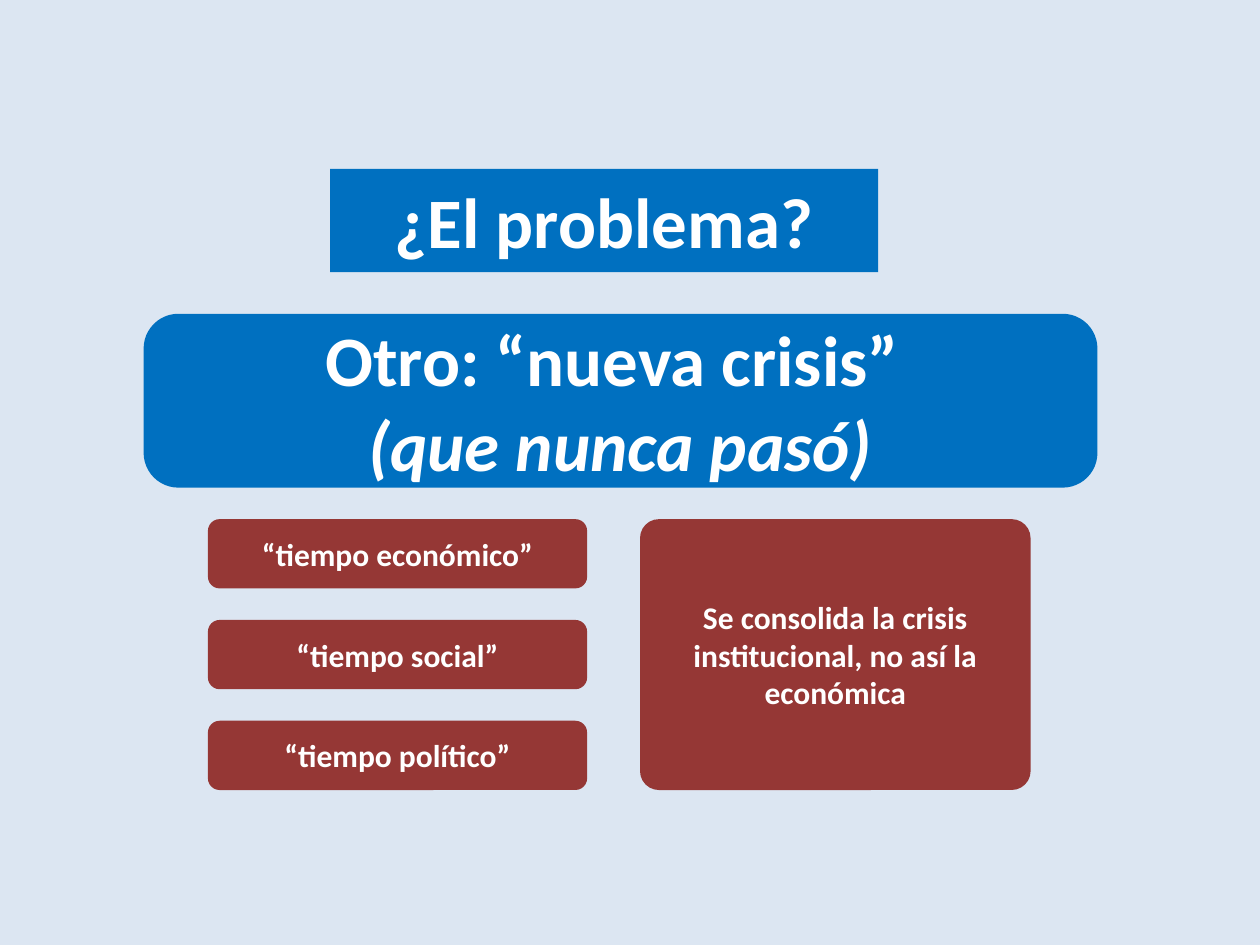
from pptx import Presentation
from pptx.dml.color import RGBColor as RGB
from pptx.enum.shapes import MSO_SHAPE as Shape
from pptx.enum.text import MSO_ANCHOR as Anchor, MSO_AUTO_SIZE as Fit, PP_ALIGN as Align
from pptx.oxml import parse_xml
from pptx.oxml.ns import nsdecls
from pptx.util import Inches, Pt

PALE = RGB(0xDC, 0xE6, 0xF2)
BLUE = RGB(0x00, 0x70, 0xC0)
RED = RGB(0x95, 0x37, 0x35)
WHITE = RGB(0xFF, 0xFF, 0xFF)

BIG, SMALL = 40.5, 18
ROUND = 0.2


class Deck:
    font = "Calibri"

    def __init__(self, prs):
        self.slide = prs.slides.add_slide(prs.slide_layouts[5])
        back = self.slide.background.fill
        back.solid()
        back.fore_color.rgb = PALE

    def style(self, shape, lines, size, fill):
        shape.fill.solid()
        shape.fill.fore_color.rgb = fill
        shape.line.fill.background()
        frame = shape.text_frame
        frame.text = "\n".join(lines)
        frame.word_wrap = True
        frame.auto_size = Fit.NONE
        frame.vertical_anchor = Anchor.MIDDLE
        for para in frame.paragraphs:
            para.alignment = Align.CENTER
            font = para.font
            font.name, font.size, font.bold = self.font, Pt(size), True
            font.color.rgb = WHITE
        return frame

    def title(self, text, x, y, w, h):
        """Turn the title placeholder into a rounded blue box."""
        shape = self.slide.shapes.title
        shape.left, shape.top = Inches(x), Inches(y)
        shape.width, shape.height = Inches(w), Inches(h)
        shape.element.spPr.append(parse_xml(
            f'<a:prstGeom {nsdecls("a")} prst="roundRect"><a:avLst>'
            f'<a:gd name="adj" fmla="val {int(ROUND * 100000)}"/>'
            '</a:avLst></a:prstGeom>'))
        self.style(shape, [text], BIG, BLUE)

    def box(self, lines, x, y, w, h, size=SMALL, fill=RED, bend=0.17):
        shape = self.slide.shapes.add_shape(
            Shape.ROUNDED_RECTANGLE, Inches(x), Inches(y), Inches(w), Inches(h))
        shape.shadow.inherit = False
        shape.adjustments[0] = bend
        return self.style(shape, lines, size, fill)


def main():
    prs = Presentation()
    prs.slide_width, prs.slide_height = Inches(10), Inches(7.5)
    deck = Deck(prs)

    deck.title("¿El problema?", 2.62, 1.34, 4.35, 0.82)
    crisis = deck.box(["Otro: “nueva crisis” ", "(que nunca pasó)"],
                      1.14, 2.49, 7.57, 1.38, BIG, BLUE, ROUND)
    crisis.paragraphs[1].font.italic = True

    top, step, high = 4.12, 0.8, 0.55
    times = ["económico", "social", "político"]
    for i, kind in enumerate(times):
        deck.box([f"“tiempo {kind}”"], 1.65, top + i * step, 3.01, high)
    deck.box(["Se consolida la crisis institucional, no así la económica"],
             5.08, top, 3.1, step * (len(times) - 1) + high, bend=0.07)

    prs.save("out.pptx")


if __name__ == "__main__":
    main()
